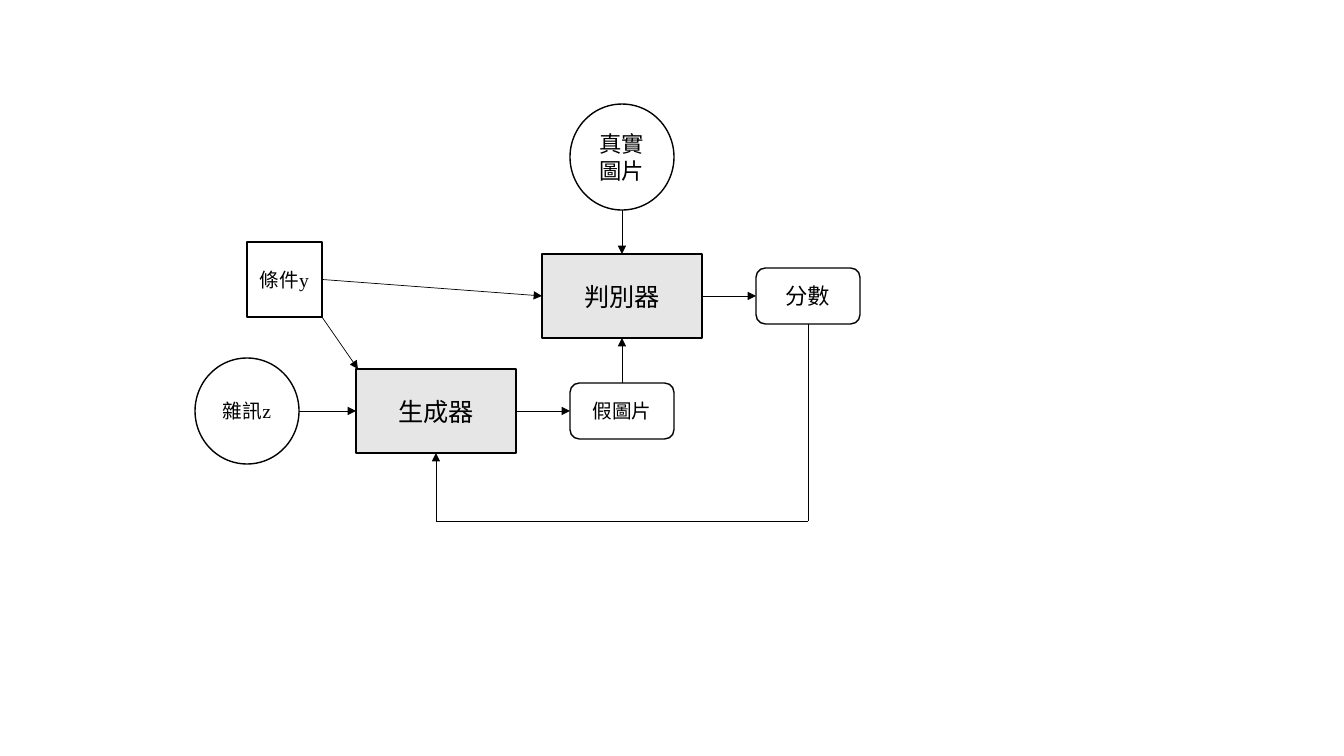
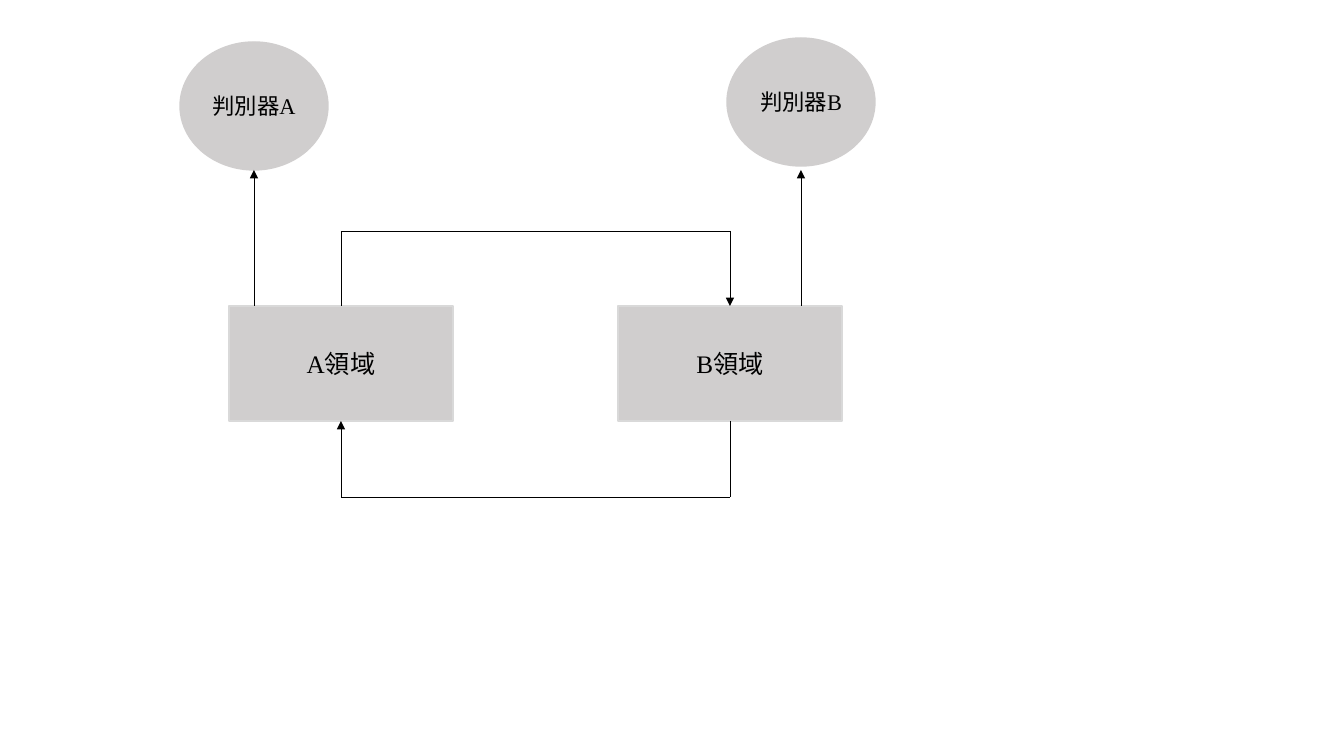
from itertools import pairwise

from lxml import etree
from pptx import Presentation
from pptx import util as u
from pptx.dml.color import RGBColor
from pptx.enum import shapes, text
from pptx.oxml.ns import qn

BLACK = RGBColor(0x00, 0x00, 0x00)
WHITE = RGBColor(0xFF, 0xFF, 0xFF)
PALE_GRAY = RGBColor(0xE7, 0xE6, 0xE6)
MID_GRAY = RGBColor(0xD0, 0xCE, 0xCE)
EDGE_GRAY = RGBColor(0xD9, 0xD9, 0xD9)

LATIN = "Times New Roman"
CJK = "Noto Sans CJK SC"

PIXELS_PER_INCH = 100.8
SLIDE_SIZE = (1344, 756)
TEXT_INSET = 9
TOP, LEFT, BOTTOM, RIGHT = range(4)

RECTANGLE = shapes.MSO_SHAPE.RECTANGLE
ROUNDED = shapes.MSO_SHAPE.ROUNDED_RECTANGLE
OVAL = shapes.MSO_SHAPE.OVAL

STYLES = {
    "input": (OVAL, (104, 106), WHITE, BLACK),
    "network": (RECTANGLE, (160, 84), PALE_GRAY, BLACK),
    "output": (ROUNDED, (104, 56), WHITE, BLACK),
    "condition": (RECTANGLE, (75, 75), WHITE, BLACK),
    "domain": (RECTANGLE, (224, 115), MID_GRAY, EDGE_GRAY),
    "judge": (OVAL, (148, 128), MID_GRAY, MID_GRAY),
}

CONDITIONAL_GAN = {
    "nodes": {
        "noise": ("input", (195, 358), 14, [("雜訊z", LATIN)]),
        "generator": ("network", (356, 369), 18, [("生成器", LATIN)]),
        "fake": ("output", (570, 383), 14, [("假圖片", LATIN)]),
        "discriminator": ("network", (542, 254), 18, [("判別器", LATIN)]),
        "real": ("input", (570, 104), 16, [("真實圖片", LATIN)]),
        "score": ("output", (756, 268), 16, [("分數", LATIN)]),
        "condition": ("condition", (247, 242), 14, [("條件y", LATIN)]),
    },
    "routes": [
        [("noise", RIGHT), ("generator", LEFT)],
        [("generator", RIGHT), ("fake", LEFT)],
        [("fake", TOP), ("discriminator", BOTTOM)],
        [("real", BOTTOM), ("discriminator", TOP)],
        [("discriminator", RIGHT), ("score", LEFT)],
        [("score", BOTTOM), (808, 521), (436, 521), ("generator", BOTTOM)],
        [(322, 317), (358, 369)],
        [("condition", RIGHT), ("discriminator", LEFT)],
    ],
}

CYCLE_GAN = {
    "nodes": {
        "domain A": ("domain", (229, 306), 18, [("A", LATIN), ("領域", CJK)]),
        "domain B": ("domain", (618, 306), 18, [("B", LATIN), ("領域", CJK)]),
        "judge A": ("judge", (180, 42), 16, [("判別器", CJK), ("A", LATIN)]),
        "judge B": ("judge", (727, 38), 16, [("判別器", CJK), ("B", LATIN)]),
    },
    "routes": [
        [("domain A", TOP), (341, 231), (730, 231), ("domain B", TOP)],
        [("domain B", BOTTOM), (730, 497), (341, 497), ("domain A", BOTTOM)],
        [(254, 306), ("judge A", BOTTOM)],
        [(801, 306), (801, 170)],
    ],
}


def px(value):
    return u.Inches(value / PIXELS_PER_INCH)


def add_node(slide, style, position, size, runs):
    kind, extent, fill, edge = STYLES[style]
    shape = slide.shapes.add_shape(kind, *map(px, position + extent))
    shape.shadow.inherit = False
    shape.fill.solid()
    shape.fill.fore_color.rgb = fill
    shape.line.color.rgb = edge
    shape.line.width = u.Pt(1)
    frame = shape.text_frame
    frame.word_wrap = True
    frame.vertical_anchor = text.MSO_ANCHOR.MIDDLE
    frame.margin_left = frame.margin_right = px(TEXT_INSET)
    paragraph = frame.paragraphs[0]
    paragraph.alignment = text.PP_ALIGN.CENTER
    for words, font_name in runs:
        run = paragraph.add_run()
        run.text = words
        run.font.name = font_name
        run.font.size = u.Pt(size)
        run.font.color.rgb = BLACK
    return shape


def locate(stop, nodes):
    if stop[0] not in nodes:
        return tuple(map(px, stop))
    shape = nodes[stop[0]]
    across, down = {TOP: (1, 0), LEFT: (0, 1), BOTTOM: (1, 2), RIGHT: (2, 1)}[stop[1]]
    return shape.left + shape.width * across // 2, shape.top + shape.height * down // 2


def add_segment(slide, start, end, nodes, arrow):
    connector = slide.shapes.add_connector(
        shapes.MSO_CONNECTOR.STRAIGHT, *locate(start, nodes), *locate(end, nodes))
    for stop, join in ((start, connector.begin_connect), (end, connector.end_connect)):
        shape = nodes.get(stop[0])
        if shape is not None and shape.auto_shape_type != OVAL:
            join(shape, stop[1])
    connector.line.color.rgb = BLACK
    connector.line.width = u.Pt(0.5)
    properties = connector.element.spPr
    if arrow:
        etree.SubElement(properties.find(qn("a:ln")), qn("a:tailEnd"), type="triangle")
    etree.SubElement(properties, qn("a:effectLst"))


def add_diagram(presentation, diagram):
    slide = presentation.slides.add_slide(presentation.slide_layouts[6])
    nodes = {name: add_node(slide, *node) for name, node in diagram["nodes"].items()}
    for route in diagram["routes"]:
        for start, end in pairwise(route):
            add_segment(slide, start, end, nodes, end is route[-1])


def main():
    presentation = Presentation()
    presentation.slide_width, presentation.slide_height = map(px, SLIDE_SIZE)
    for diagram in (CONDITIONAL_GAN, CYCLE_GAN):
        add_diagram(presentation, diagram)
    presentation.save("out.pptx")


if __name__ == "__main__":
    main()
